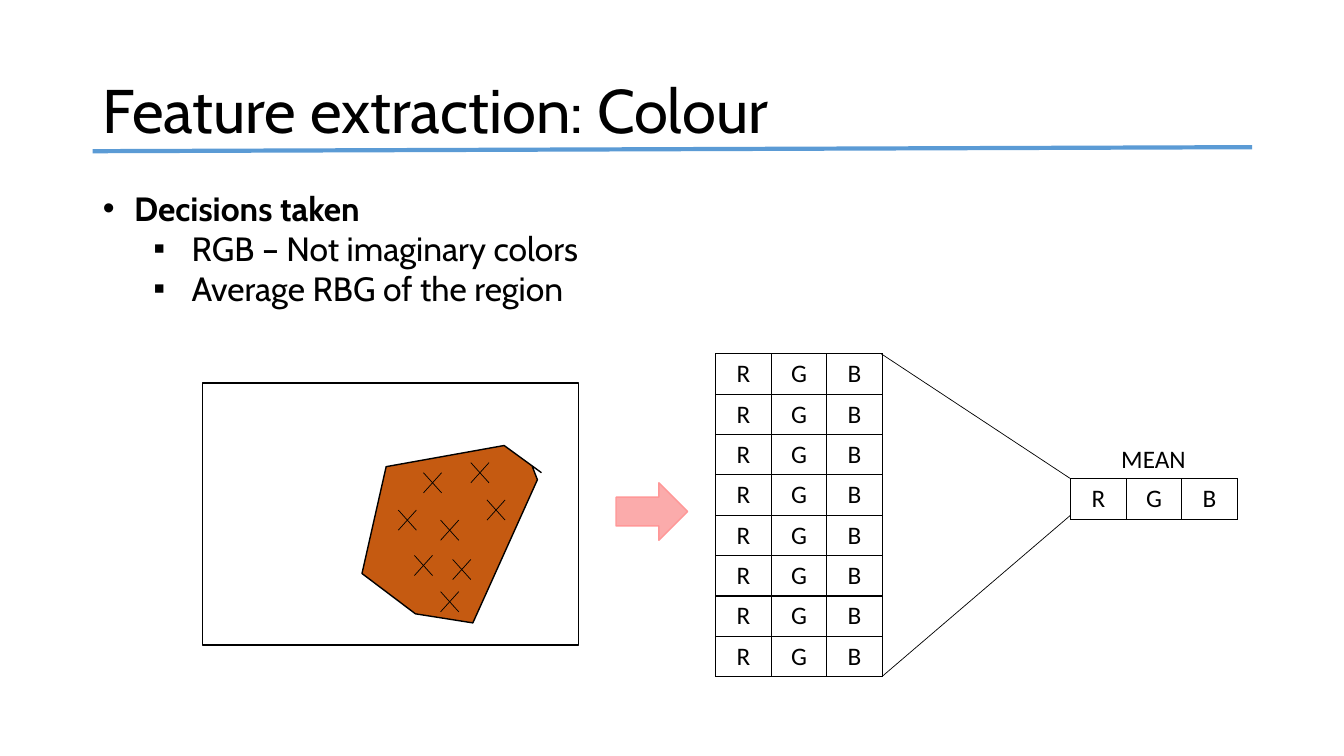
from lxml import etree
from pptx import Presentation
from pptx import util as u
from pptx.dml.color import RGBColor
from pptx.enum import shapes, text
from pptx.oxml.ns import qn

PX = 9144  # one hundred px to the inch
COLORS = {
    "ink": "000000",
    "rule": "5B9BD5",
    "region": "C55A11",
    "arrow": "FBABAB",
    "arrow_edge": "FF9797",
}
HEADING_FONT, LABEL_FONT = "Cabin", "Calibri"
CHANNELS = ["R", "G", "B"]
CHANNEL_WIDTH, SAMPLE_HEIGHT = 55, 40
SAMPLE_CENTERS = [(476, 469), (492, 506), (429, 479), (404, 516),
                  (446, 526), (420, 561), (458, 565), (446, 597)]
REGION = [(537, 469), (500, 442), (383, 463), (359, 569),
          (412, 609), (469, 618), (533, 476), (528, 463)]
DECISIONS = [
    # wording, level, bullet, left, hanging
    ("Decisions taken", 0, "•", 31, 31),
    ("RGB – Not imaginary colors", 1, "▪", 88, 38),
    ("Average RBG of the region", 1, "▪", 88, 38),
]


def px(*lengths):
    return [u.Emu(length * PX) for length in lengths]


def rgb(name):
    return RGBColor.from_string(COLORS[name])


def write(paragraph, wording, size=18, font=LABEL_FONT, bold=False,
          align=text.PP_ALIGN.CENTER, line_spacing=1.0):
    paragraph.alignment = align
    paragraph.line_spacing = line_spacing
    paragraph.space_before = u.Pt(0)
    run = paragraph.add_run()
    run.text = wording
    run.font.size = u.Pt(size)
    run.font.name = font
    run.font.bold = bold
    run.font.color.rgb = rgb("ink")


def place(shape, left, top, width, height):
    shape.left, shape.top, shape.width, shape.height = px(left, top, width, height)


def style(shape, fill, edge="ink"):
    shape.shadow.inherit = False
    if fill:
        shape.fill.solid()
        shape.fill.fore_color.rgb = rgb(fill)
    else:
        shape.fill.background()
    shape.line.color.rgb = rgb(edge)
    shape.line.width = u.Pt(1)


def add_line(slide, start, end, color="ink", width=0.5):
    line = slide.shapes.add_connector(
        shapes.MSO_CONNECTOR.STRAIGHT, *px(*start, *end))
    line.line.color.rgb = rgb(color)
    line.line.width = u.Pt(width)
    etree.SubElement(line._element.spPr, qn("a:effectLst"))


def add_cross(slide, x, y):
    """Mark a sampled pixel centred at x, y."""
    for rise in (-10, 10):
        add_line(slide, (x - 9, y + rise), (x + 9, y - rise))


def add_bullet(paragraph, mark, left, hanging):
    props = paragraph._p.get_or_add_pPr()
    props.set("marL", str(left * PX))
    props.set("indent", str(-hanging * PX))
    etree.SubElement(props, qn("a:buFont")).set("typeface", "Arial")
    etree.SubElement(props, qn("a:buChar")).set("char", mark)


def add_cell_borders(cell):
    props = cell._tc.get_or_add_tcPr()
    for position, side in enumerate(("lnL", "lnR", "lnT", "lnB")):
        border = etree.Element(qn(f"a:{side}"), w=str(u.Pt(1)))
        fill = etree.SubElement(border, qn("a:solidFill"))
        etree.SubElement(fill, qn("a:srgbClr")).set("val", COLORS["ink"])
        props.insert(position, border)


def add_channel_table(slide, left, top, samples):
    """Draw a grid with one R, G, B row per sample."""
    table = slide.shapes.add_table(
        samples, len(CHANNELS),
        *px(left, top, CHANNEL_WIDTH * len(CHANNELS), SAMPLE_HEIGHT * samples)).table
    table.first_row = table.horz_banding = False
    for column in table.columns:
        column.width = u.Emu(CHANNEL_WIDTH * PX)
    for row in table.rows:
        row.height = u.Emu(SAMPLE_HEIGHT * PX)
        for cell, channel in zip(row.cells, CHANNELS):
            cell.fill.background()
            cell.vertical_anchor = text.MSO_ANCHOR.MIDDLE
            add_cell_borders(cell)
            write(cell.text_frame.paragraphs[0], channel)


def add_title(slide):
    title = slide.shapes.title
    place(title, 92, 40, 1150, 145)
    title.text_frame.vertical_anchor = text.MSO_ANCHOR.MIDDLE
    write(title.text_frame.paragraphs[0], "Feature extraction: Colour", size=44,
          font=HEADING_FONT, align=text.PP_ALIGN.LEFT, line_spacing=0.9)
    add_line(slide, (92, 150), (1242, 146), color="rule", width=3)


def add_decisions(slide):
    body = slide.placeholders[1]
    place(body, 92, 181, 832, 131)
    frame = body.text_frame
    frame.auto_size = text.MSO_AUTO_SIZE.SHAPE_TO_FIT_TEXT
    for number, (wording, level, mark, left, hanging) in enumerate(DECISIONS):
        paragraph = frame.add_paragraph() if number else frame.paragraphs[0]
        paragraph.level = level
        add_bullet(paragraph, mark, left, hanging)
        write(paragraph, wording, size=24, font=HEADING_FONT,
              bold=level == 0, align=text.PP_ALIGN.LEFT)


def add_sampled_region(slide):
    frame = slide.shapes.add_shape(
        shapes.MSO_SHAPE.RECTANGLE, *px(201, 380, 373, 260))
    style(frame, None)
    outline = slide.shapes.build_freeform(*REGION[0], scale=PX)
    outline.add_line_segments(REGION[1:], close=False)
    style(outline.convert_to_shape(), "region")
    for center in SAMPLE_CENTERS:
        add_cross(slide, *center)


def add_mean(slide):
    add_channel_table(slide, 710, 351, len(SAMPLE_CENTERS))
    add_line(slide, (874, 351), (1062, 475))
    add_line(slide, (875, 671), (1062, 511))
    add_channel_table(slide, 1062, 475, 1)
    label = slide.shapes.add_textbox(*px(1062, 435, 164, 40))
    label.text_frame.word_wrap = True
    write(label.text_frame.paragraphs[0], "MEAN")


def main():
    deck = Presentation()
    deck.slide_width, deck.slide_height = px(1333, 750)
    slide = deck.slides.add_slide(deck.slide_layouts[1])
    add_title(slide)
    add_decisions(slide)
    add_sampled_region(slide)
    add_mean(slide)
    arrow = slide.shapes.add_shape(
        shapes.MSO_SHAPE.RIGHT_ARROW, *px(611, 479, 71, 57))
    style(arrow, "arrow", edge="arrow_edge")
    deck.save("out.pptx")


if __name__ == "__main__":
    main()
